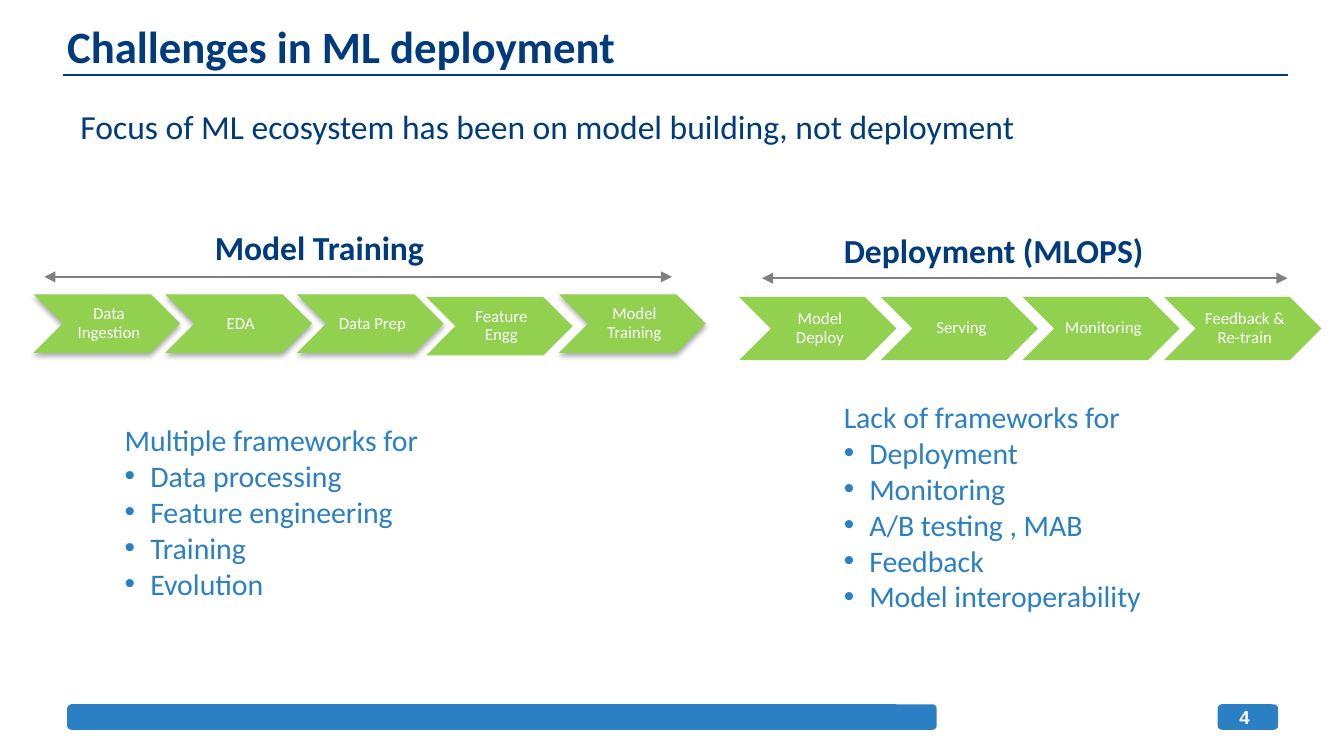
from dataclasses import dataclass

from lxml import etree
from pptx import Presentation
from pptx import util as u
from pptx.dml.color import RGBColor
from pptx.enum import shapes, text
from pptx.oxml import ns

NAVY = RGBColor(0x00, 0x3B, 0x7E)
BLUE = RGBColor(0x2B, 0x7F, 0xC3)
GREEN = RGBColor(0x92, 0xD0, 0x50)
GRAY = RGBColor(0x80, 0x80, 0x80)
WHITE = RGBColor(0xFF, 0xFF, 0xFF)
COLUMNS, ROWS = 100, 56.25
WIDTH = u.Inches(10)
HEIGHT = u.Emu(WIDTH * 9 // 16)


@dataclass(frozen=True)
class Area:
    column: float
    row: float
    columns: float
    rows: float

    def emu(self) -> tuple[int, int, int, int]:
        return (across(self.column), down(self.row),
                across(self.columns), down(self.rows))


@dataclass(frozen=True)
class Style:
    size: float
    color: RGBColor
    bold: bool = False
    font: str = "Calibri"


@dataclass(frozen=True)
class Step:
    label: str
    column: float
    row: float
    shadow: bool = False


@dataclass(frozen=True)
class Phase:
    heading: str
    heading_area: Area
    span: tuple[float, float, float]
    steps: list[Step]
    step_size: tuple[float, float]
    intro: str
    points: list[str]
    points_area: Area


HEADING = Style(18, NAVY, bold=True)
POINT = Style(16, BLUE)
LABEL = Style(9, WHITE)

PHASES = [
    Phase("Model Training", Area(15, 16.4, 18.6, 4), (3.3, 50, 20.6),
          [Step("Data Ingestion", 2.5, 21.9, True), Step("EDA", 12.3, 21.9, True),
           Step("Data Prep", 22.1, 21.9, True), Step("Feature Engg", 31.7, 22.1),
           Step("Model Training", 41.6, 21.9, True)], (10.9, 4.35),
          "Multiple frameworks for",
          ["Data processing", "Feature engineering", "Training", "Evolution"],
          Area(8.3, 30.9, 29, 17.2)),
    Phase("Deployment (MLOPS)", Area(61.8, 16.6, 30.8, 4), (56.7, 95.8, 20.7),
          [Step(label, 55 + 10.54 * index, 22.1) for index, label in enumerate(
              ["Model Deploy", "Serving", "Monitoring", "Feedback & Re-train"])],
          (11.7, 4.7), "Lack of frameworks for",
          ["Deployment", "Monitoring", "A/B testing , MAB", "Feedback",
           "Model interoperability"],
          Area(61.8, 29.2, 32.6, 22.6)),
]


def across(columns: float) -> int:
    return round(WIDTH * columns / COLUMNS)


def down(rows: float) -> int:
    return round(HEIGHT * rows / ROWS)


def add_run(paragraph, words: str, style: Style) -> None:
    run = paragraph.add_run()
    run.text = words
    run.font.name = style.font
    run.font.size = u.Pt(style.size)
    run.font.bold = style.bold
    run.font.color.rgb = style.color


def add_words(slide, area: Area, words: str, style: Style,
              margins=(0.1, 0.05, 0.1, 0.05), centered=False, wrap=True):
    frame = slide.shapes.add_textbox(*area.emu()).text_frame
    frame.word_wrap = wrap
    (frame.margin_left, frame.margin_top,
     frame.margin_right, frame.margin_bottom) = map(u.Inches, margins)
    paragraph = frame.paragraphs[0]
    if centered:
        frame.vertical_anchor = text.MSO_ANCHOR.MIDDLE
        paragraph.alignment = text.PP_ALIGN.CENTER
    add_run(paragraph, words, style)
    return frame


def add_filled(slide, kind, area: Area, color: RGBColor):
    shape = slide.shapes.add_shape(kind, *area.emu())
    shape.shadow.inherit = False
    shape.fill.solid()
    shape.fill.fore_color.rgb = color
    shape.line.fill.background()
    return shape


def add_line(slide, span: tuple[float, float, float], color: RGBColor,
             points: float, arrows=False) -> None:
    start, end, row = span
    line = slide.shapes.add_connector(shapes.MSO_CONNECTOR.STRAIGHT, across(start),
                                      down(row), across(end), down(row))
    line.line.color.rgb = color
    line.line.width = u.Pt(points)
    if arrows:
        outline = line.line._get_or_add_ln()
        for tag in ("a:headEnd", "a:tailEnd"):
            etree.SubElement(outline, ns.qn(tag), type="triangle")
    etree.SubElement(line._element.spPr, ns.qn("a:effectLst"))


def add_drop_shadow(shape) -> None:
    effects = shape._element.spPr.find(ns.qn("a:effectLst"))
    drop = etree.SubElement(effects, ns.qn("a:outerShdw"), blurRad=str(u.Pt(3.1)),
                            dist=str(u.Pt(1.8)), dir="5400000", rotWithShape="0")
    color = etree.SubElement(drop, ns.qn("a:srgbClr"), val="000000")
    etree.SubElement(color, ns.qn("a:alpha"), val="35000")


def add_step(slide, step: Step, size: tuple[float, float]) -> None:
    columns, rows = size
    chevron = add_filled(slide, shapes.MSO_SHAPE.CHEVRON,
                         Area(step.column, step.row, columns, rows), GREEN)
    if step.shadow:
        add_drop_shadow(chevron)
    inside = Area(step.column + columns * 0.2, step.row, columns * 0.6, rows)
    label = add_words(slide, inside, step.label, LABEL,
                      (0.04, 0.01, 0.01, 0.01), centered=True)
    label.paragraphs[0].line_spacing = 0.9


def add_points(slide, phase: Phase) -> None:
    frame = add_words(slide, phase.points_area, phase.intro, POINT)
    for point in phase.points:
        paragraph = frame.add_paragraph()
        properties = paragraph._p.get_or_add_pPr()
        properties.set("marL", str(u.Inches(0.19)))
        properties.set("indent", str(-u.Inches(0.19)))
        etree.SubElement(properties, ns.qn("a:buFont"), typeface="Arial")
        etree.SubElement(properties, ns.qn("a:buChar"), char="•")
        add_run(paragraph, point, POINT)


def add_phase(slide, phase: Phase) -> None:
    for step in phase.steps:
        add_step(slide, step, phase.step_size)
    add_words(slide, phase.heading_area, phase.heading, HEADING)
    add_line(slide, phase.span, GRAY, 0.75, arrows=True)
    add_points(slide, phase)


def main() -> None:
    deck = Presentation()
    deck.slide_width, deck.slide_height = WIDTH, HEIGHT
    slide = deck.slides.add_slide(deck.slide_layouts[6])
    for bar in (Area(5, 52.4, 64.7, 1.9), Area(90.6, 52.4, 4.5, 1.9)):
        add_filled(slide, shapes.MSO_SHAPE.ROUNDED_RECTANGLE, bar, BLUE)
    add_line(slide, (4.7, 95.8, 5.6), NAVY, 1)
    add_words(slide, Area(5, 0.9, 90, 5.1), "Challenges in ML deployment",
              Style(24, NAVY, bold=True), (0, 0.05, 0, 0.05))
    add_words(slide, Area(90.8, 52.3, 3.6, 2.1), "4",
              Style(10, WHITE, bold=True, font="Arial"), centered=True, wrap=False)
    add_words(slide, Area(5, 7.4, 84.2, 4),
              "Focus of ML ecosystem has been on model building, not deployment",
              Style(18, NAVY))
    for phase in PHASES:
        add_phase(slide, phase)
    deck.save("out.pptx")


if __name__ == "__main__":
    main()
